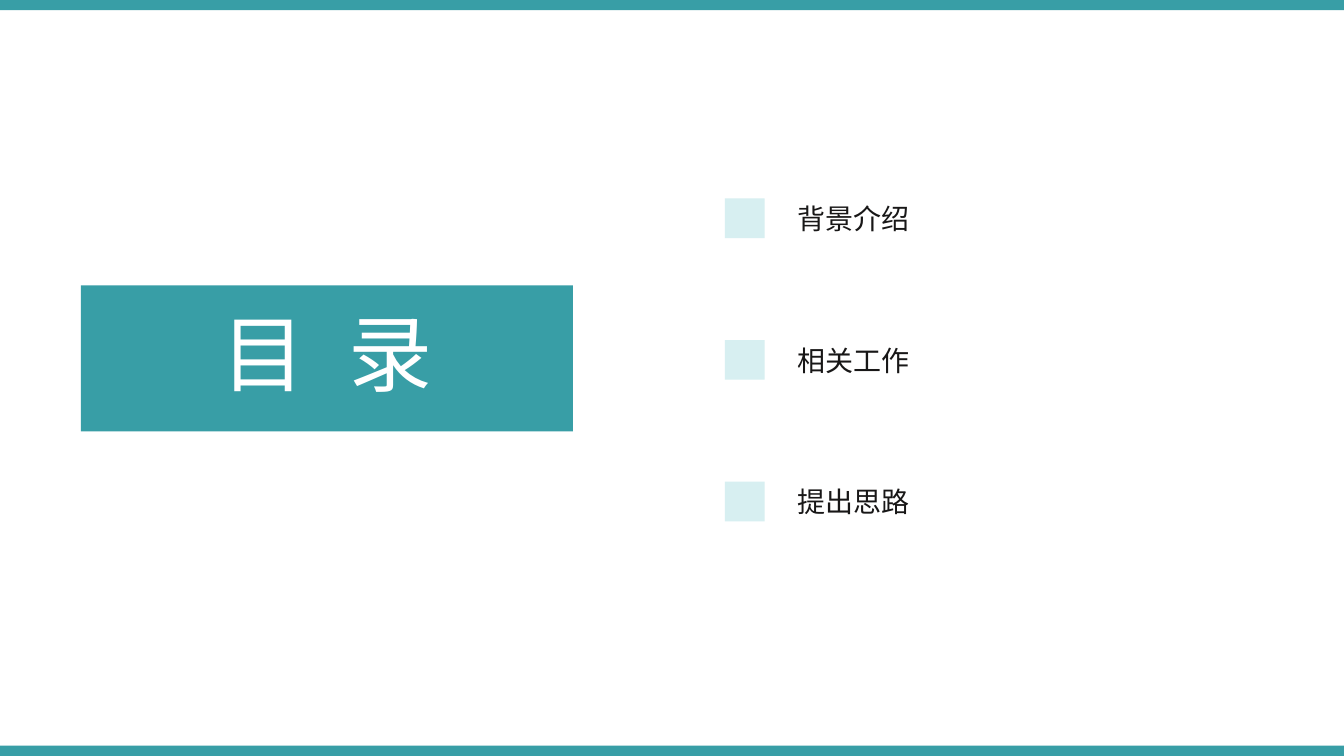
from pptx import Presentation
from pptx.dml.color import RGBColor
from pptx.enum.shapes import MSO_SHAPE
from pptx.enum.text import MSO_ANCHOR, PP_ALIGN
from pptx.util import Cm, Pt

RECTANGLE = MSO_SHAPE.RECTANGLE
MIDDLE = MSO_ANCHOR.MIDDLE
LEFT, CENTER = PP_ALIGN.LEFT, PP_ALIGN.CENTER

TEAL = RGBColor(0x38, 0x9E, 0xA6)
PALE_TEAL = RGBColor(0xD7, 0xEF, 0xF1)
INK = RGBColor(0x18, 0x17, 0x17)
WHITE = RGBColor(0xFF, 0xFF, 0xFF)

SLIDE_WIDTH, SLIDE_HEIGHT = 33.87, 19.05
BAND_HEIGHT = 0.26
MARKER_SIZE = 1.0
ENTRY_HEIGHT = 1.4
FIRST_CENTER, ENTRY_STEP = 5.5, 3.57

deck = Presentation()
deck.slide_width, deck.slide_height = Cm(SLIDE_WIDTH), Cm(SLIDE_HEIGHT)
page = deck.slides.add_slide(deck.slide_layouts[6])


def add_block(left, top, width, height, color):
    block = page.shapes.add_shape(RECTANGLE, Cm(left), Cm(top), Cm(width), Cm(height))
    block.shadow.inherit = False
    block.fill.solid()
    block.fill.fore_color.rgb = color
    block.line.fill.background()
    return block


def write_text(box, text, size, color, align=LEFT, line_spacing=None, space_extra=0):
    """Fill the box with one paragraph; space_extra widens its spaces, in points."""
    frame = box.text_frame
    frame.word_wrap = True
    frame.vertical_anchor = MIDDLE
    para = frame.paragraphs[0]
    para.alignment = align
    para.line_spacing = line_spacing
    for piece in text if space_extra else [text]:
        span = para.add_run()
        span.text = piece
        span.font.name = "Arial"
        span.font.size = Pt(size)
        span.font.color.rgb = color
        if piece == " ":
            span.font._element.set("spc", str(round(space_extra * 100)))


# Bands along the top and bottom edges
for band_top in (0, SLIDE_HEIGHT - BAND_HEIGHT):
    add_block(0, band_top, SLIDE_WIDTH, BAND_HEIGHT, TEAL)

# Agenda entries
for index, entry in enumerate(["背景介绍", "相关工作", "提出思路"]):
    center = FIRST_CENTER + index * ENTRY_STEP
    add_block(18.27, center - MARKER_SIZE / 2, MARKER_SIZE, MARKER_SIZE, PALE_TEAL)
    entry_box = page.shapes.add_textbox(
        Cm(19.84), Cm(center - ENTRY_HEIGHT / 2), Cm(9.1), Cm(ENTRY_HEIGHT))
    write_text(entry_box, entry, 20, INK)

# Title panel
title_box = add_block(2.04, 7.19, 12.4, 3.68, TEAL)
write_text(title_box, "目 录", 60, WHITE, align=CENTER, line_spacing=0.9, space_extra=16.7)

deck.save("out.pptx")
